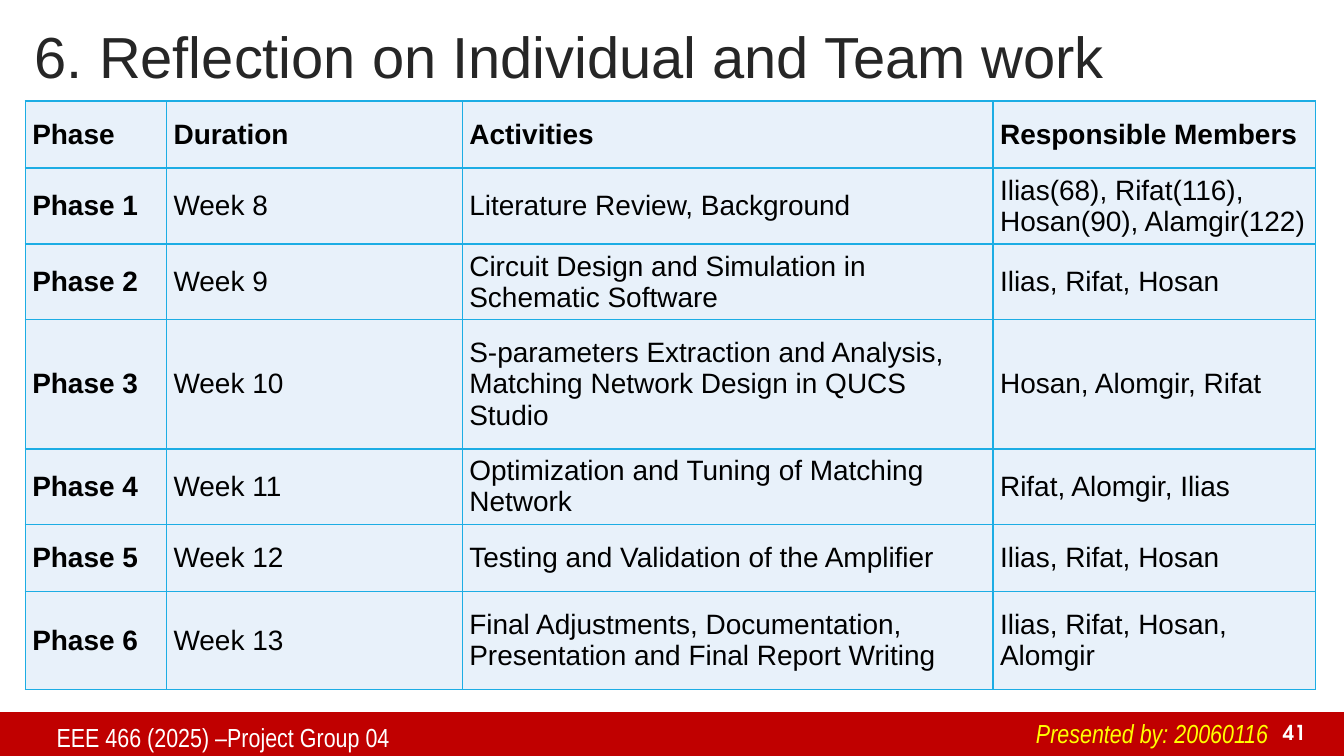
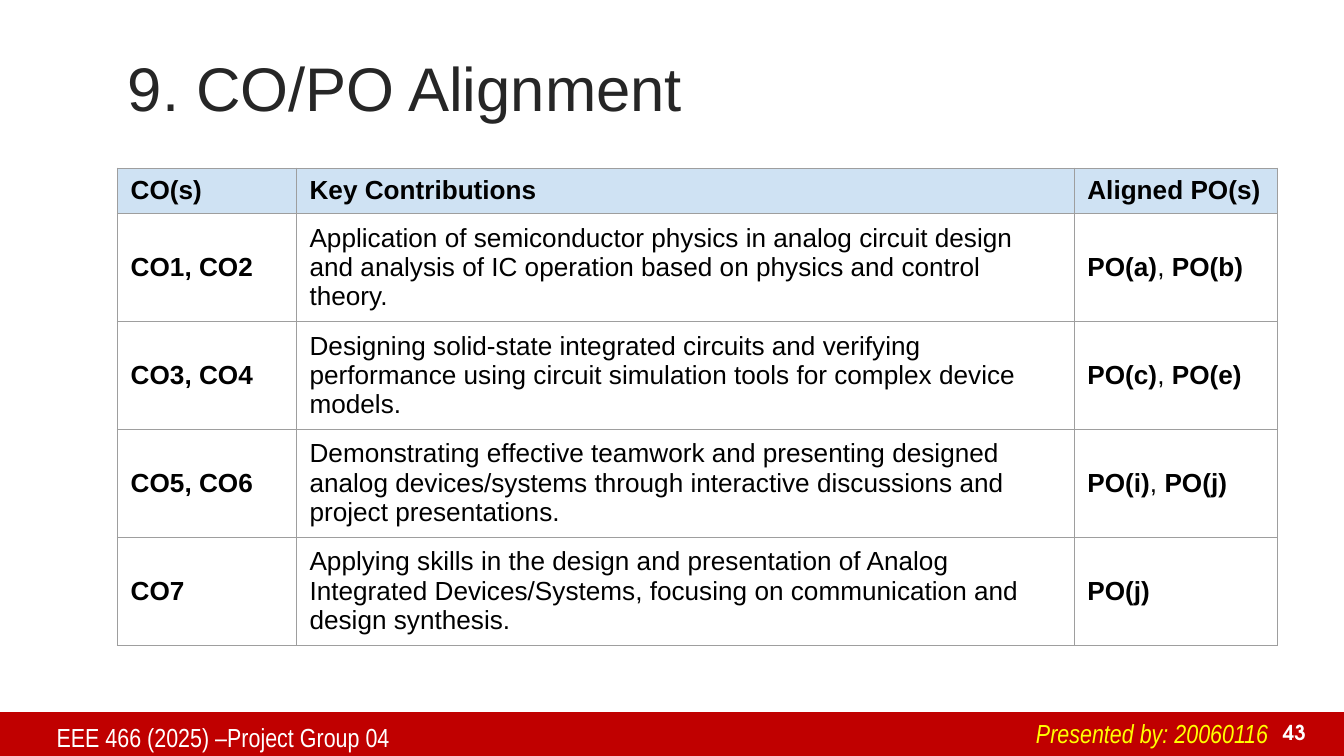
from lxml import etree
from pptx import Presentation
from pptx.dml.color import RGBColor
from pptx.enum.shapes import MSO_SHAPE
from pptx.enum.text import MSO_ANCHOR, MSO_AUTO_SIZE, PP_ALIGN
from pptx.oxml.ns import qn
from pptx.util import Cm, Pt

TOP, MIDDLE, BOTTOM = MSO_ANCHOR.TOP, MSO_ANCHOR.MIDDLE, MSO_ANCHOR.BOTTOM
LEFT, RIGHT = PP_ALIGN.LEFT, PP_ALIGN.RIGHT
RECTANGLE = MSO_SHAPE.RECTANGLE
FIT_SHAPE = MSO_AUTO_SIZE.SHAPE_TO_FIT_TEXT

WHITE = RGBColor(0xFF, 0xFF, 0xFF)
BLACK = RGBColor(0x00, 0x00, 0x00)
CHARCOAL = RGBColor(0x26, 0x26, 0x26)
RED = RGBColor(0xC0, 0x00, 0x00)
YELLOW = RGBColor(0xFF, 0xFF, 0x00)
CYAN = RGBColor(0x1C, 0xAD, 0xE4)
PALE_BLUE = RGBColor(0xE8, 0xF1, 0xFA)
HEADER_BLUE = RGBColor(0xCF, 0xE2, 0xF3)
GREY = RGBColor(0x9E, 0x9E, 0x9E)

BODY_FONT = "Arial"
FOOTER_FONT = "Arial Narrow"
NUMBER_FONT = "TeX Gyre Adventor"

PAGE_WIDTH, PAGE_HEIGHT = 25.4, 14.29
BAND_TOP = 13.46
TIGHT = (0.18, 0.1)
NORMAL = (0.25, 0.13)

COURSE = "EEE 466 (2025) –Project Group 04"
PRESENTER = "Presented by: 20060116"

# In a table, a tuple holds bold items parted by plain commas.
SLIDES = [
    {
        "title": "6. Reflection on Individual and Team work",
        "title_at": (0.48, 0.38),
        "title_size": 31,
        "number": "41",
        "table_at": (0.48, 1.91),
        "columns": [2.67, 5.59, 10.03, 6.09],
        "heights": [1.27, 1.27, 1.27, 2.44, 1.27, 1.27, 1.85],
        "size": 15,
        "insets": (0.13, 0.08),
        "border": (CYAN, 1),
        "header_fill": PALE_BLUE,
        "body_fill": PALE_BLUE,
        "rows": [
            ("Phase", "Duration", "Activities", "Responsible Members"),
            ("Phase 1", "Week 8", "Literature Review, Background",
             "Ilias(68), Rifat(116), Hosan(90), Alamgir(122)"),
            ("Phase 2", "Week 9", "Circuit Design and Simulation in Schematic Software",
             "Ilias, Rifat, Hosan"),
            ("Phase 3", "Week 10",
             "S-parameters Extraction and Analysis,\nMatching Network Design in QUCS Studio",
             "Hosan, Alomgir, Rifat"),
            ("Phase 4", "Week 11", "Optimization and Tuning of Matching Network",
             "Rifat, Alomgir, Ilias"),
            ("Phase 5", "Week 12", "Testing and Validation of the Amplifier",
             "Ilias, Rifat, Hosan"),
            ("Phase 6", "Week 13",
             "Final Adjustments, Documentation, Presentation and Final Report Writing",
             "Ilias, Rifat, Hosan, Alomgir"),
        ],
    },
    {
        "title": "9. CO/PO Alignment",
        "title_at": (2.24, 0.97),
        "title_size": 33,
        "number": "43",
        "table_at": (2.22, 3.18),
        "columns": [3.38, 14.7, 3.84],
        "heights": [0.81] + [1.92] * 4,
        "size": 14,
        "insets": NORMAL,
        "border": (GREY, 0.75),
        "header_fill": HEADER_BLUE,
        "body_fill": None,
        "rows": [
            ("CO(s)", "Key Contributions", "Aligned PO(s)"),
            ("CO1, CO2",
             "Application of semiconductor physics in analog circuit design and analysis "
             "of IC operation based on physics and control theory.",
             ("PO(a)", "PO(b)")),
            ("CO3, CO4",
             "Designing solid-state integrated circuits and verifying performance using "
             "circuit simulation tools for complex device models.",
             ("PO(c)", "PO(e)")),
            ("CO5, CO6",
             "Demonstrating effective teamwork and presenting designed analog "
             "devices/systems through interactive discussions and project presentations.",
             ("PO(i)", "PO(j)")),
            ("CO7",
             "Applying skills in the design and presentation of Analog Integrated "
             "Devices/Systems, focusing on communication and design synthesis.",
             ("PO(j)",)),
        ],
    },
]


def add_span(para, text, size, color, font=BODY_FONT, bold=False, italic=False):
    span = para.add_run()
    span.text = text
    span.font.name = font
    span.font.size = Pt(size)
    span.font.color.rgb = color
    span.font.bold = bold
    span.font.italic = italic


def set_insets(holder, insets):
    holder.margin_left = holder.margin_right = Cm(insets[0])
    holder.margin_top = holder.margin_bottom = Cm(insets[1])


def add_label(page, place, text, size, color, font=BODY_FONT, anchor=TOP,
              align=LEFT, insets=TIGHT, wrap=True, **style):
    """Add a one-paragraph text box and return its frame."""
    frame = page.shapes.add_textbox(*map(Cm, place)).text_frame
    frame.word_wrap = wrap
    frame.vertical_anchor = anchor
    set_insets(frame, insets)
    para = frame.paragraphs[0]
    para.alignment = align
    add_span(para, text, size, color, font, **style)
    return frame


def add_band(page):
    band = page.shapes.add_shape(RECTANGLE, 0, Cm(BAND_TOP), Cm(PAGE_WIDTH),
                                 Cm(PAGE_HEIGHT - BAND_TOP))
    band.shadow.inherit = False
    band.fill.solid()
    band.fill.fore_color.rgb = RED
    band.line.fill.background()


def add_footer(page, number):
    add_label(page, (23.77, 13.54, 1.09, 0.64), number, 11, WHITE, NUMBER_FONT,
              anchor=BOTTOM, align=RIGHT, bold=True)
    add_label(page, (0.89, 13.54, 10.06, 0.79), COURSE, 14, WHITE, FOOTER_FONT)
    frame = add_label(page, (19.33, 13.44, 4.98, 0.86), PRESENTER, 14, YELLOW,
                      FOOTER_FONT, insets=NORMAL, wrap=False, italic=True)
    frame.auto_size = FIT_SHAPE


def set_borders(cell, color, width):
    properties = cell._tc.get_or_add_tcPr()
    for index, side in enumerate(("a:lnL", "a:lnR", "a:lnT", "a:lnB")):
        line = etree.Element(qn(side), w=str(Pt(width)))
        fill = etree.SubElement(line, qn("a:solidFill"))
        etree.SubElement(fill, qn("a:srgbClr"), val=str(color))
        properties.insert(index, line)


def write_cell(cell, content, size, bold):
    if isinstance(content, tuple):
        para = cell.text_frame.paragraphs[0]
        for index, item in enumerate(content):
            if index:
                add_span(para, ", ", size, BLACK)
            add_span(para, item, size, BLACK, bold=True)
        return
    for index, text in enumerate(content.split("\n")):
        frame = cell.text_frame
        para = frame.add_paragraph() if index else frame.paragraphs[0]
        add_span(para, text, size, BLACK, bold=bold)


def add_grid(page, content):
    rows, columns, heights = content["rows"], content["columns"], content["heights"]
    left, top = content["table_at"]
    table = page.shapes.add_table(len(rows), len(columns), Cm(left), Cm(top),
                                  Cm(sum(columns)), Cm(sum(heights))).table
    table.first_row = table.horz_banding = False
    for column, width in zip(table.columns, columns):
        column.width = Cm(width)
    for row, height in zip(table.rows, heights):
        row.height = Cm(height)
    for r, row in enumerate(rows):
        for c, text in enumerate(row):
            cell = table.cell(r, c)
            cell.vertical_anchor = MIDDLE
            set_insets(cell, content["insets"])
            color = content["body_fill"] if r else content["header_fill"]
            if color is None:
                cell.fill.background()
            else:
                cell.fill.solid()
                cell.fill.fore_color.rgb = color
            set_borders(cell, *content["border"])
            write_cell(cell, text, content["size"], bold=r == 0 or c == 0)


def add_page(deck, content):
    page = deck.slides.add_slide(deck.slide_layouts[6])
    page.background.fill.solid()
    page.background.fill.fore_color.rgb = WHITE
    add_band(page)
    title = add_label(page, (*content["title_at"], 20.96, 1.52), content["title"],
                      content["title_size"], CHARCOAL, anchor=MIDDLE)
    title.paragraphs[0].line_spacing = 0.9
    add_grid(page, content)
    add_footer(page, content["number"])


def main():
    deck = Presentation()
    deck.slide_width, deck.slide_height = Cm(PAGE_WIDTH), Cm(PAGE_HEIGHT)
    for content in SLIDES:
        add_page(deck, content)
    deck.save("out.pptx")


if __name__ == "__main__":
    main()
